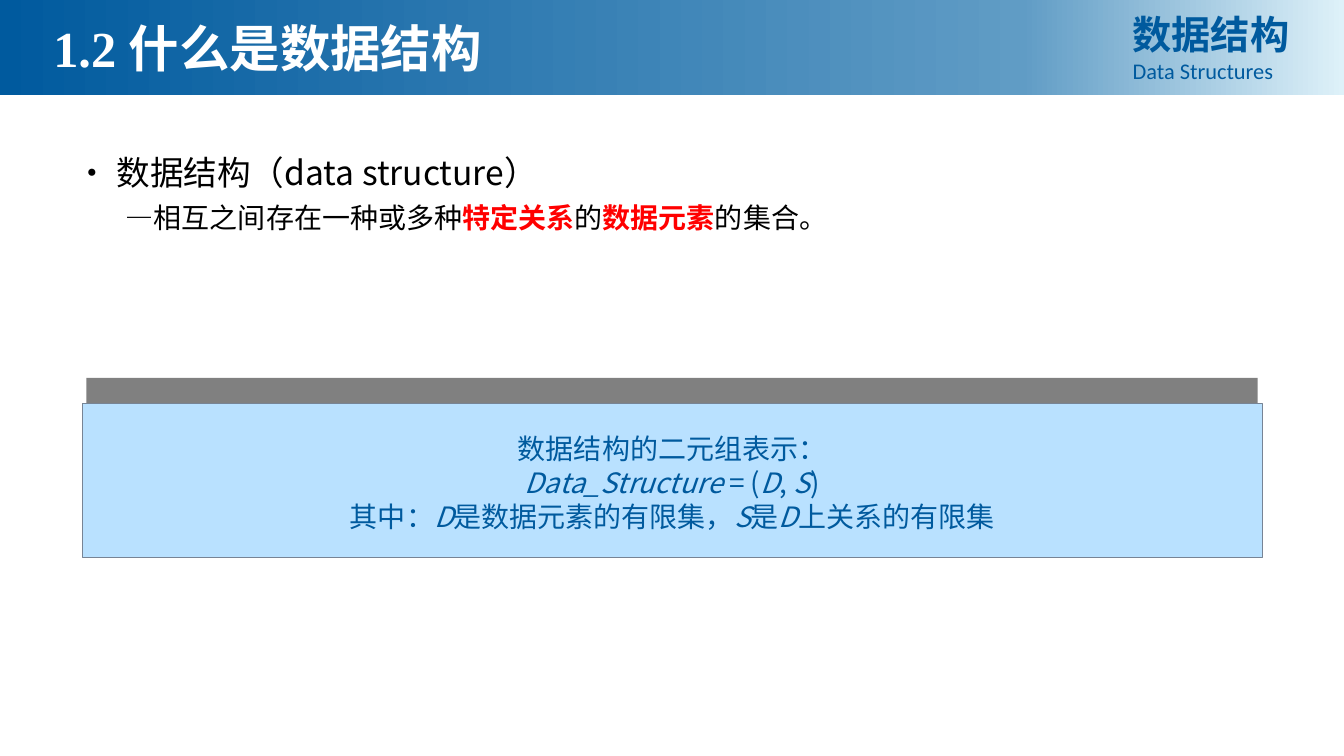
from dataclasses import dataclass

from lxml import etree
from pptx import Presentation
from pptx.dml.color import RGBColor
from pptx.enum.shapes import MSO_SHAPE
from pptx.enum.text import MSO_ANCHOR, MSO_AUTO_SIZE, PP_ALIGN
from pptx.oxml.ns import qn
from pptx.util import Pt

RECT = MSO_SHAPE.RECTANGLE
CENTER, JUSTIFY = PP_ALIGN.CENTER, PP_ALIGN.JUSTIFY
MIDDLE = MSO_ANCHOR.MIDDLE
GROW = MSO_AUTO_SIZE.SHAPE_TO_FIT_TEXT


@dataclass(frozen=True)
class Theme:
    blue: str = "005A9E"
    mid_blue: str = "609CC5"
    pale_blue: str = "DEF1F9"
    panel: str = "B9E1FF"
    panel_line: str = "778495"
    gray: str = "808080"
    white: str = "FFFFFF"
    black: str = "000000"
    red: str = "FF0000"
    cjk: str = "Noto Sans CJK SC"
    latin: str = "Calibri"
    serif: str = "Times New Roman"
    title: int = 36
    course: int = 28
    heading: int = 24
    body: int = 20
    small: int = 16


T = Theme()


def add_run(p, text, size, color, font=T.cjk, bold=False, italic=False):
    r = p.add_run()
    r.text = text
    f = r.font
    f.name, f.size, f.bold, f.italic = font, Pt(size), bold, italic
    f.color.rgb = RGBColor.from_string(color)
    ea = etree.SubElement(r._r.get_or_add_rPr(), qn("a:ea"))
    ea.set("typeface", T.cjk)


def add_text_box(left, top, width, height):
    tf = s.shapes.add_textbox(Pt(left), Pt(top), Pt(width), Pt(height)).text_frame
    tf.word_wrap = True
    tf.auto_size = GROW
    return tf


prs = Presentation()
prs.slide_width, prs.slide_height = Pt(960), Pt(540)
s = prs.slides.add_slide(prs.slide_layouts[6])

# Header band
band = s.shapes.add_shape(RECT, 0, 0, prs.slide_width, Pt(67.7))
band.shadow.inherit = False
band.line.fill.background()
band.fill.gradient()
band.fill.gradient_angle = 0
gs_list = band.fill._fill._gradFill.find(qn("a:gsLst"))
for stop in list(gs_list):
    gs_list.remove(stop)
for percent, color in ((0, T.blue), (76, T.mid_blue), (100, T.pale_blue)):
    stop = etree.SubElement(gs_list, qn("a:gs"), pos=str(percent * 1000))
    etree.SubElement(stop, qn("a:srgbClr"), val=color)

# Course name
tf = add_text_box(802, 3.6, 137.5, 60.5)
p = tf.paragraphs[0]
p.alignment = JUSTIFY
add_run(p, "数据结构", T.course, T.blue, bold=True)
p = tf.add_paragraph()
p.alignment = JUSTIFY
add_run(p, "Data Structures", T.small, T.blue, T.latin)

# Slide title
tf = add_text_box(31, 8.6, 607.7, 51)
add_run(tf.paragraphs[0], "1.2 什么是数据结构", T.title, T.white, T.serif, bold=True)

# Definition
tf = add_text_box(46.8, 97.9, 866.9, 71.3)
p = tf.paragraphs[0]
p.line_spacing = 1.25
add_run(p, "• 数据结构（data structure）", T.heading, T.black)
p = tf.add_paragraph()
p.level = 1
p.line_spacing = 1.25
pPr = p._p.get_or_add_pPr()
pPr.set("marL", str(Pt(36)))
pPr.set("indent", "0")
for text, key_term in (("—相互之间存在一种或多种", False), ("特定关系", True), ("的", False),
                       ("数据元素", True), ("的集合。", False)):
    add_run(p, text, T.body, T.red if key_term else T.black, bold=key_term)

# Two-tuple panel with its gray backing
backing = s.shapes.add_shape(RECT, Pt(61.7), Pt(270), Pt(836.6), Pt(128))
backing.shadow.inherit = False
backing.fill.solid()
backing.fill.fore_color.rgb = RGBColor.from_string(T.gray)
backing.line.fill.background()

panel = s.shapes.add_shape(RECT, Pt(59), Pt(288), Pt(842.4), Pt(110))
panel.shadow.inherit = False
panel.fill.solid()
panel.fill.fore_color.rgb = RGBColor.from_string(T.panel)
panel.line.color.rgb = RGBColor.from_string(T.panel_line)
panel.line.width = Pt(0.25)
tf = panel.text_frame
tf.word_wrap = False
tf.vertical_anchor = MIDDLE
tf.margin_left = tf.margin_right = Pt(7.2)
tf.margin_top, tf.margin_bottom = Pt(14.4), Pt(11.5)
panel_lines = (
    (("数据结构的二元组表示：", False),),
    (("Data_Structure", True), (" = (", False), ("D", True), (", ", False),
     ("S", True), (")", False)),
    (("其中：", False), ("D", True), ("是数据元素的有限集，", False), ("S", True),
     ("是", False), ("D", True), ("上关系的有限集", False)),
)
for i, runs in enumerate(panel_lines):
    p = tf.add_paragraph() if i else tf.paragraphs[0]
    p.alignment = CENTER
    for text, italic in runs:
        add_run(p, text, T.body, T.blue, italic=italic)

prs.save("out.pptx")
